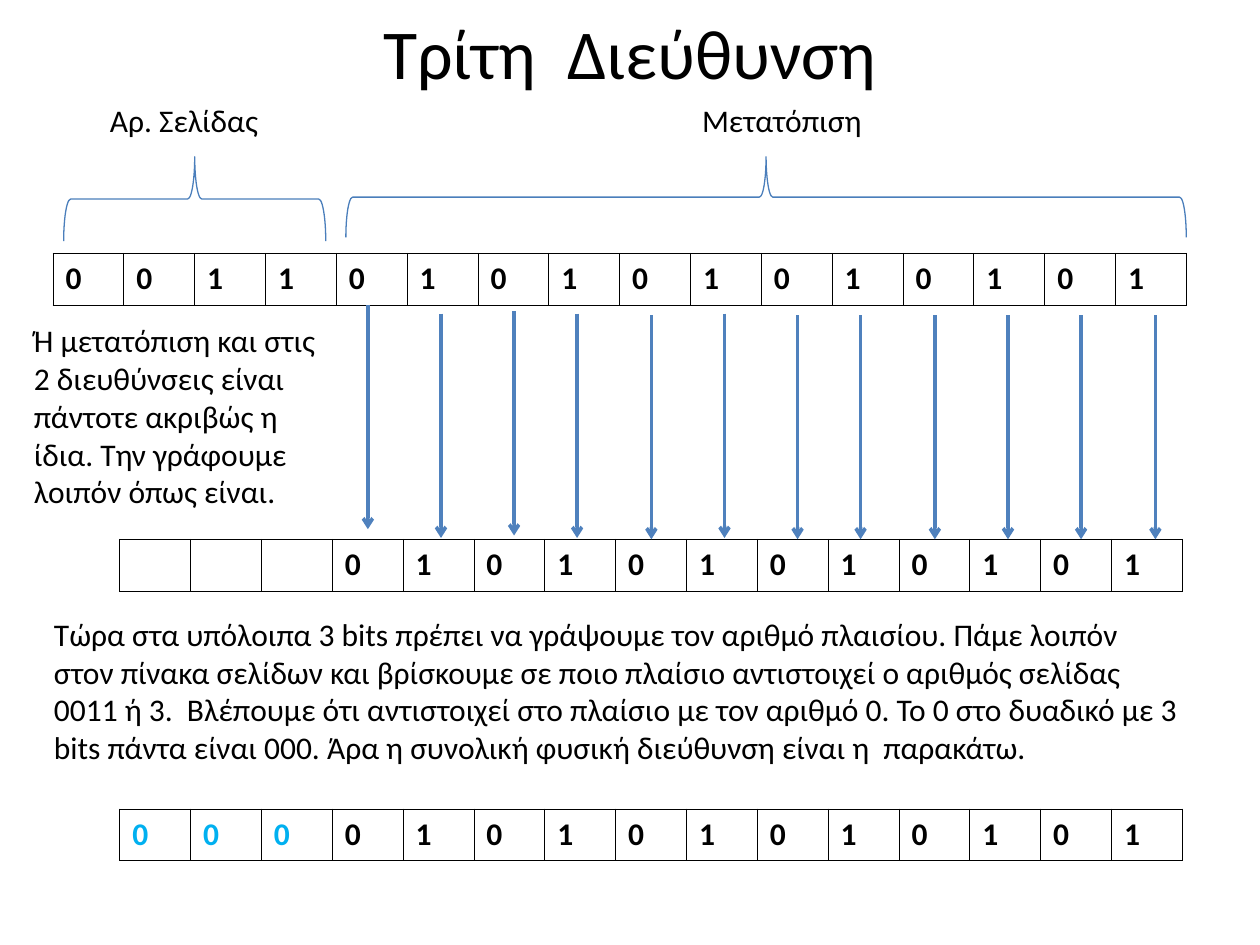
import pptx
import pptx.dml.color
import pptx.enum.shapes
import pptx.enum.text
import pptx.oxml
import pptx.oxml.ns
import pptx.util
from pptx.util import Inches

BLACK, WHITE, BIT_BLUE = "000000", "FFFFFF", "00B0F0"
BRACE_BLUE, ARROW_BLUE = "4A7EBB", "4F81BD"
NAMESPACE = pptx.oxml.ns.nsdecls("a")


def color(hex_string):
    return pptx.dml.color.RGBColor.from_string(hex_string)


def write_text(frame, text, size=18, bold=False, font_color=BLACK, align=None):
    frame.word_wrap = True
    paragraph = frame.paragraphs[0]
    paragraph.alignment = align
    run = paragraph.add_run()
    run.text = text
    run.font.name = "Calibri"
    run.font.size = pptx.util.Pt(size)
    run.font.bold = bold
    run.font.color.rgb = color(font_color)


presentation = pptx.Presentation()
presentation.slide_width = Inches(10)
presentation.slide_height = Inches(7.5)
slide = presentation.slides.add_slide(presentation.slide_layouts[5])
center = pptx.enum.text.PP_ALIGN.CENTER

# Title, lifted by a deep bottom inset
title = slide.shapes.title
title.left, title.top = Inches(0.5), Inches(0.33)
title.width, title.height = Inches(9), Inches(0.83)
title.text_frame.auto_size = pptx.enum.text.MSO_AUTO_SIZE.NONE
title.text_frame.vertical_anchor = pptx.enum.text.MSO_ANCHOR.MIDDLE
title.text_frame.margin_bottom = Inches(0.72)
write_text(title.text_frame, "Τρίτη  Διεύθυνση", size=40, align=center)

# Address rows: left, top, bits (a space is an empty cell), count of blue bits
offset_bits = "01" * 6
address_rows = [
    (0.42, 2.01, "0011" + offset_bits, 0),
    (0.95, 4.28, "   " + offset_bits, 0),
    (0.95, 6.42, "000" + offset_bits, 3),
]
cell_width = Inches(9) // 16
for left, top, bits, blue_count in address_rows:
    table = slide.shapes.add_table(1, len(bits), Inches(left), Inches(top),
                                   cell_width * len(bits), Inches(0.41)).table
    table.first_row = table.horz_banding = False
    for column, bit in enumerate(bits):
        table.columns[column].width = cell_width
        cell = table.cell(0, column)
        if bit != " ":
            write_text(cell.text_frame, bit, bold=True,
                       font_color=BIT_BLUE if column < blue_count else BLACK)
        properties = cell._tc.get_or_add_tcPr()
        for side in ("lnL", "lnR", "lnT", "lnB"):
            properties.append(pptx.oxml.parse_xml(
                f'<a:{side} {NAMESPACE} w="5715"><a:solidFill><a:srgbClr val="{BLACK}"/>'
                f'</a:solidFill></a:{side}>'))
        cell.fill.solid()
        cell.fill.fore_color.rgb = color(WHITE)

# Braces over the page number and the offset, turned to point up
for left, top, width, height in [(1.21, 0.54, 0.67, 2.08), (5.76, -1.77, 0.64, 6.67)]:
    brace = slide.shapes.add_shape(pptx.enum.shapes.MSO_SHAPE.LEFT_BRACE, Inches(left),
                                   Inches(top), Inches(width), Inches(height))
    brace.rotation = 90
    brace.shadow.inherit = False
    brace.fill.background()
    brace.line.color.rgb = color(BRACE_BLUE)
    brace.line.width = pptx.util.Pt(0.75)

# Labels and explanations
texts = [
    (0.5, 0.75, 1.92, 0.4, center, "Αρ. Σελίδας"),
    (3.58, 0.75, 5.25, 0.4, center, "Μετατόπιση"),
    (0.17, 2.5, 2.58, 1.6, None,
     "Ή μετατόπιση και στις 2 διευθύνσεις είναι πάντοτε ακριβώς η ίδια. "
     "Την γράφουμε λοιπόν όπως είναι."),
    (0.33, 4.83, 9.12, 1.3, None,
     "Τώρα στα υπόλοιπα 3 bits πρέπει να γράψουμε τον αριθμό πλαισίου. Πάμε λοιπόν "
     "στον πίνακα σελίδων και βρίσκουμε σε ποιο πλαίσιο αντιστοιχεί ο αριθμός σελίδας "
     "0011 ή 3.  Βλέπουμε ότι αντιστοιχεί στο πλαίσιο με τον αριθμό 0. Το 0 στο δυαδικό "
     "με 3 bits πάντα είναι 000. Άρα η συνολική φυσική διεύθυνση είναι η  παρακάτω."),
]
for left, top, width, height, align, text in texts:
    box = slide.shapes.add_textbox(Inches(left), Inches(top), Inches(width), Inches(height))
    write_text(box.text_frame, text, align=align)

# Arrows carrying each offset bit down: x and top
arrows = [(2.92, 2.42), (3.5, 2.49), (4.08, 2.47), (4.58, 2.49), (5.17, 2.5), (5.75, 2.49),
          (6.33, 2.5), (6.83, 2.5), (7.42, 2.5), (8, 2.5), (8.58, 2.5), (9.17, 2.5)]
for x, top in arrows:
    arrow = slide.shapes.add_connector(pptx.enum.shapes.MSO_CONNECTOR.STRAIGHT, Inches(x),
                                       Inches(top), Inches(x), Inches(top + 1.78))
    arrow.line.color.rgb = color(ARROW_BLUE)
    arrow.line.width = pptx.util.Pt(2)
    arrow.line._get_or_add_ln().append(
        pptx.oxml.parse_xml(f'<a:tailEnd {NAMESPACE} type="arrow"/>'))
    arrow._element.spPr.append(pptx.oxml.parse_xml(f'<a:effectLst {NAMESPACE}/>'))

presentation.save("out.pptx")
